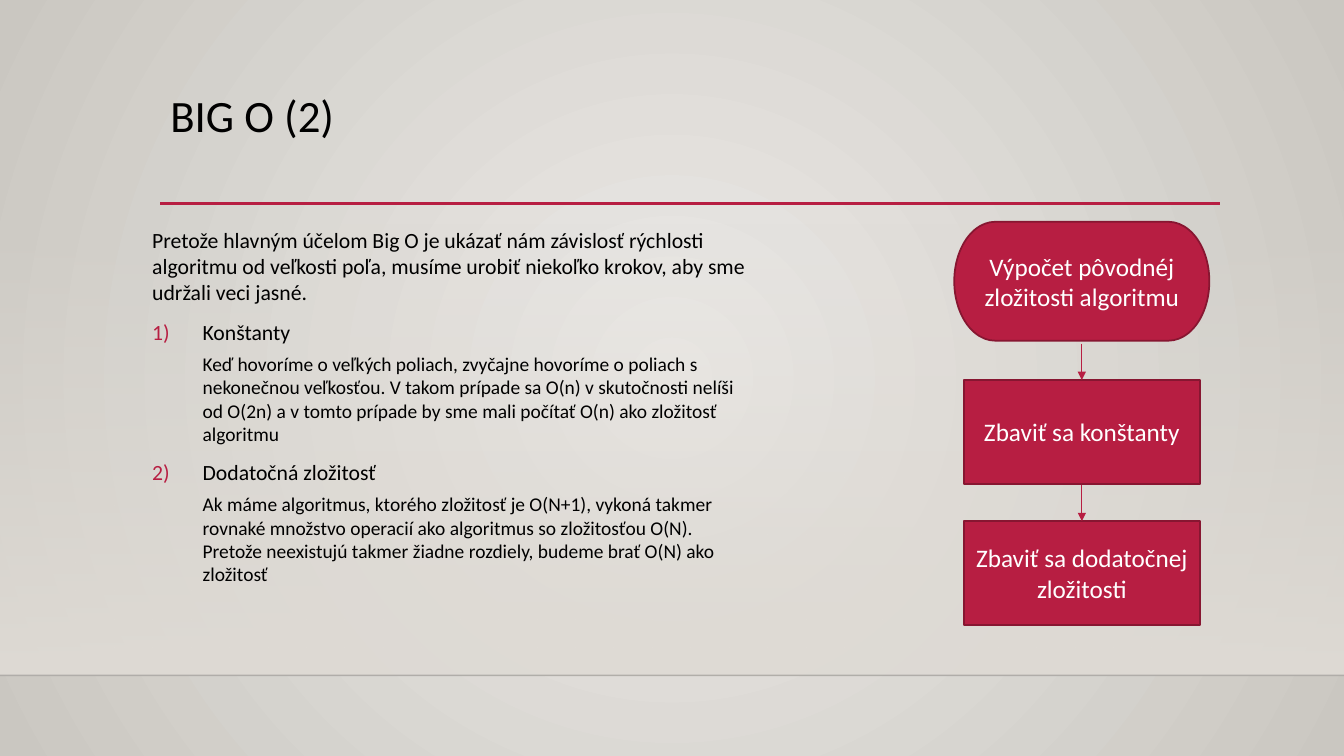
import pptx
import pptx.util
import pptx.oxml
import pptx.oxml.ns
import pptx.dml.color
import pptx.enum.text
import pptx.enum.shapes
from lxml import etree

Inches, Pt = pptx.util.Inches, pptx.util.Pt
qn = pptx.oxml.ns.qn
NS = pptx.oxml.ns.nsdecls("a", "p")
ALIGN, ANCHOR = pptx.enum.text.PP_ALIGN, pptx.enum.text.MSO_ANCHOR
SHAPE = pptx.enum.shapes.MSO_SHAPE
RED, DARK_RED = "B71E42", "871631"
CENTER_X = 10.73

INTRO = ("Pretože hlavným účelom Big O je ukázať nám závislosť rýchlosti algoritmu od "
         "veľkosti poľa, musíme urobiť niekoľko krokov, aby sme udržali veci jasné.")
STEPS = [
    ("Konštanty",
     "Keď hovoríme o veľkých poliach, zvyčajne hovoríme o poliach s nekonečnou veľkosťou. "
     "V takom prípade sa O(n) v skutočnosti nelíši od O(2n) a v tomto prípade by sme mali "
     "počítať O(n) ako zložitosť algoritmu"),
    ("Dodatočná zložitosť",
     "Ak máme algoritmus, ktorého zložitosť je O(N+1), vykoná takmer rovnaké množstvo "
     "operacií ako algoritmus so zložitosťou O(N). Pretože neexistujú takmer žiadne "
     "rozdiely, budeme brať O(N) ako zložitosť"),
]


def rgb(color):
    return pptx.dml.color.RGBColor.from_string(color)


def set_attrs(obj, values):
    for name, value in values.items():
        setattr(obj, name, value)


def place(sp, left, top, width, height):
    set_attrs(sp, {"left": Inches(left), "top": Inches(top),
                   "width": Inches(width), "height": Inches(height)})


def write(p, text, size, color="000000"):
    r = p.add_run()
    r.text = text
    set_attrs(r.font, {"size": Pt(size), "name": "Calibri"})
    r.font.color.rgb = rgb(color)


def gradient(start, end, direction, start_alpha=100):
    return pptx.oxml.parse_xml(
        f'<a:gradFill {NS} rotWithShape="1"><a:gsLst>'
        f'<a:gs pos="0"><a:srgbClr val="{start}"><a:alpha val="{start_alpha * 1000}"/>'
        f'</a:srgbClr></a:gs><a:gs pos="100000"><a:srgbClr val="{end}"/></a:gs>'
        f'</a:gsLst>{direction}</a:gradFill>')


def add_background(s):
    # Radial backdrop
    bg = pptx.oxml.parse_xml(f"<p:bg {NS}><p:bgPr><a:effectLst/></p:bgPr></p:bg>")
    bg[0].insert(0, gradient(
        "ECEAE7", "CAC7C1",
        '<a:path path="circle"><a:fillToRect l="50000" t="50000" r="50000" b="50000"/></a:path>'))
    s._element.cSld.insert(0, bg)
    # Wall fading in towards the floor, behind the placeholders
    wall = s.shapes.add_shape(SHAPE.RECTANGLE, 0, Inches(2.21), Inches(13.33), Inches(4.49))
    wall.shadow.inherit = False
    wall.line.fill.background()
    wall._element.spPr.insert(2, gradient("DFDBD5", "DFDBD5", '<a:lin ang="5400000"/>', 0))
    s.shapes.title._element.addprevious(wall._element)


def add_line(s, start, end, color, width, alpha=None, arrow=False):
    line = s.shapes.add_connector(pptx.enum.shapes.MSO_CONNECTOR.STRAIGHT,
                                  *(Inches(v) for v in start + end))
    line.line.width = Pt(width)
    line.line.color.rgb = rgb(color)
    sp_pr = line._element.spPr
    if alpha is not None:
        clr = sp_pr.find(".//" + qn("a:srgbClr"))
        etree.SubElement(clr, qn("a:alpha"), val=str(alpha * 1000))
    if arrow:
        etree.SubElement(sp_pr.find(qn("a:ln")), qn("a:tailEnd"), type="triangle")
    etree.SubElement(sp_pr, qn("a:effectLst"))


def fill_title(s, text):
    title = s.shapes.title
    place(title, 1.59, 0.88, 7.66, 1.15)
    tf = title.text_frame
    set_attrs(tf, {"vertical_anchor": ANCHOR.TOP, "word_wrap": True,
                   "auto_size": pptx.enum.text.MSO_AUTO_SIZE.NONE})
    set_attrs(tf.paragraphs[0], {"alignment": ALIGN.LEFT, "line_spacing": 0.9})
    write(tf.paragraphs[0], text, 32)


def format_item(p, text, level=0, numbered=False):
    set_attrs(p, {"level": level, "line_spacing": 1.0,
                  "space_before": Pt(5 if level else 10), "space_after": Pt(0)})
    pPr = p._p.get_or_add_pPr()
    pPr.set("marL", str(Inches(0.5 if numbered or level else 0)))
    pPr.set("indent", str(Inches(-0.5 if numbered else 0)))
    if numbered:
        clr = etree.SubElement(pPr, qn("a:buClr"))
        etree.SubElement(clr, qn("a:srgbClr"), val=RED)
        etree.SubElement(pPr, qn("a:buFont"), typeface="Calibri")
        etree.SubElement(pPr, qn("a:buAutoNum"), type="arabicParenR")
    else:
        etree.SubElement(pPr, qn("a:buNone"))
    write(p, text, 13.9 if level else 15.5)


def fill_body(s):
    body = s.placeholders[1]
    place(body, 1.41, 2.2, 6.17, 4.17)
    tf = body.text_frame
    set_attrs(tf, {"vertical_anchor": ANCHOR.TOP, "word_wrap": True,
                   "auto_size": pptx.enum.text.MSO_AUTO_SIZE.NONE})
    format_item(tf.paragraphs[0], INTRO)
    for heading, detail in STEPS:
        format_item(tf.add_paragraph(), heading, numbered=True)
        format_item(tf.add_paragraph(), detail, level=1)


def add_node(s, kind, text, top, width, height):
    sp = s.shapes.add_shape(kind, Inches(CENTER_X - width / 2), Inches(top),
                            Inches(width), Inches(height))
    sp.shadow.inherit = False
    sp.fill.solid()
    sp.fill.fore_color.rgb = rgb(RED)
    sp.line.color.rgb = rgb(DARK_RED)
    sp.line.width = Pt(1.25)
    tf = sp.text_frame
    set_attrs(tf, {"word_wrap": True, "vertical_anchor": ANCHOR.MIDDLE})
    tf.paragraphs[0].alignment = ALIGN.CENTER
    write(tf.paragraphs[0], text, 18, "FFFFFF")


def main():
    prs = pptx.Presentation()
    set_attrs(prs, {"slide_width": Inches(13.33), "slide_height": Inches(7.5)})
    s = prs.slides.add_slide(prs.slide_layouts[1])

    # Backdrop, floor edge and title rule
    add_background(s)
    add_line(s, (0, 6.7), (13.33, 6.7), "000001", 1, alpha=20)
    add_line(s, (1.59, 2.02), (12.1, 2.02), RED, 2.5)

    # Text
    fill_title(s, "BIG O (2)")
    fill_body(s)

    # Flowchart: start node, then each step with the arrow leading into it
    add_node(s, SHAPE.FLOWCHART_TERMINATOR, "Výpočet pôvodnéj zložitosti algoritmu",
             2.2, 2.53, 1.18)
    for i, text in enumerate(["Zbaviť sa konštanty", "Zbaviť sa dodatočnej zložitosti"]):
        top = 3.77 + 1.4 * i
        add_node(s, SHAPE.RECTANGLE, text, top, 2.34, 1.03)
        add_line(s, (CENTER_X, top - 0.36), (CENTER_X, top), RED, 0.75, arrow=True)

    prs.save("out.pptx")


if __name__ == "__main__":
    main()
